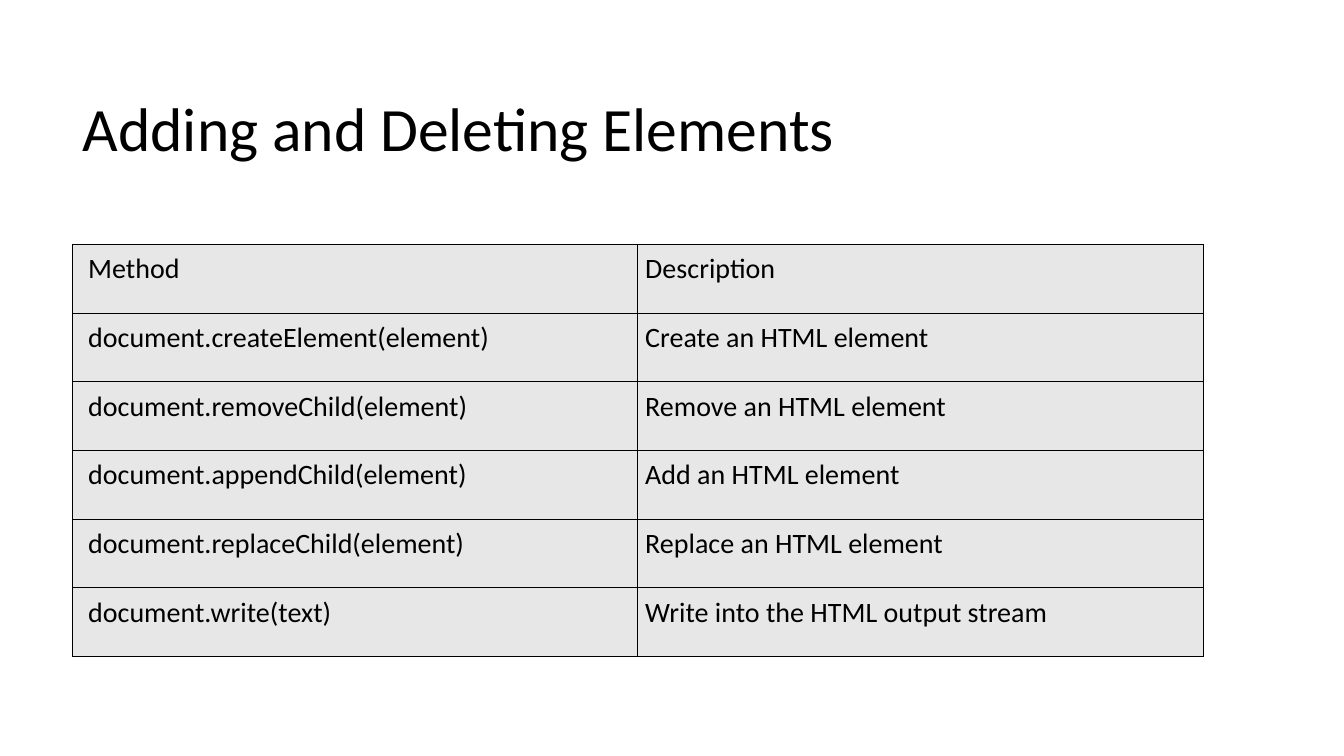
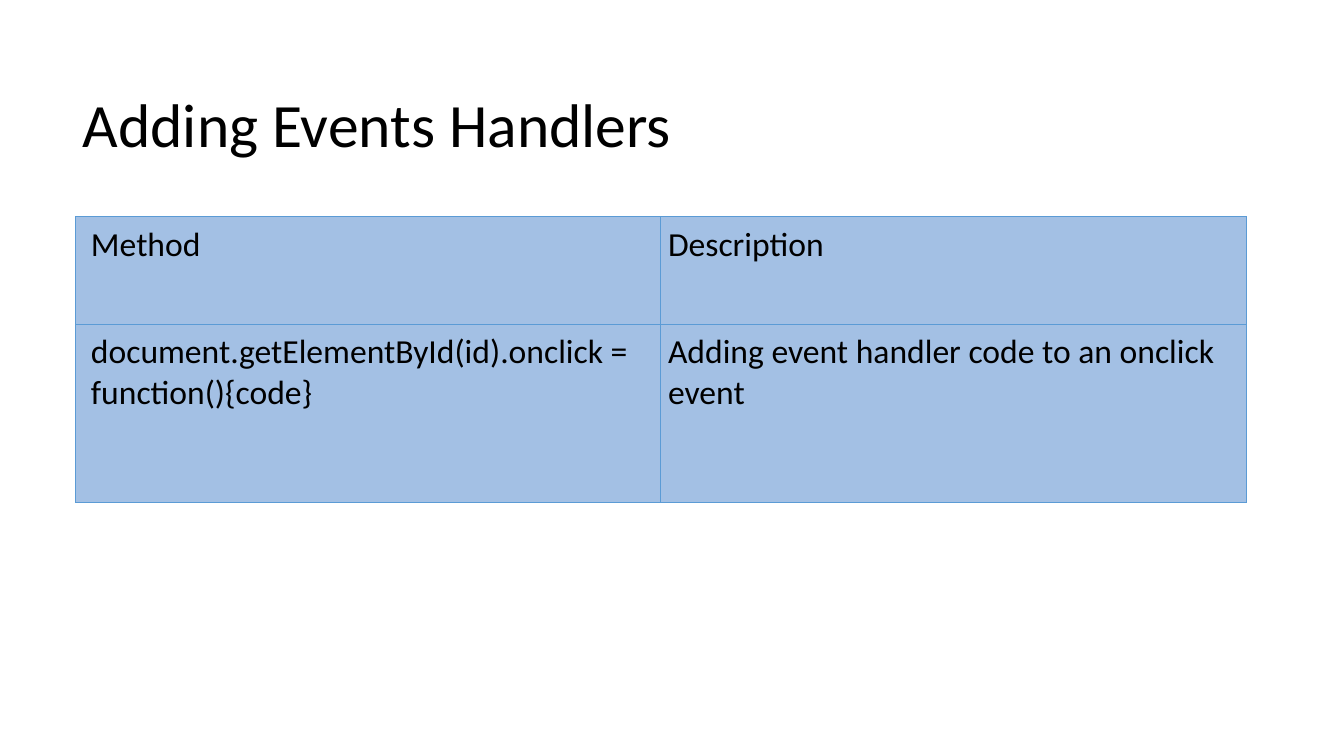
import pptx
import pptx.dml.color
import pptx.enum.text
import pptx.oxml
import pptx.oxml.ns
import pptx.util

Pt = pptx.util.Pt
FONT = "Calibri"
TEXT_COLOR = "000000"
TITLE_SIZE = 44
CELL_MARGINS = {"margin_top": 5.5, "margin_right": 5.5, "margin_bottom": 5.5}
COLUMN_LEFT_MARGINS = (11, 5.5)


def color(hex_string):
    return pptx.dml.color.RGBColor.from_string(hex_string)


def set_attributes(target, values):
    for name, value in values.items():
        setattr(target, name, value)


def write_text(paragraph, text, size):
    run = paragraph.add_run()
    run.text = text
    set_attributes(run.font, {"name": FONT, "size": Pt(size)})
    run.font.color.rgb = color(TEXT_COLOR)


def add_title(slide, box, text):
    shape = slide.shapes.add_textbox(*map(Pt, box))
    set_attributes(shape.text_frame, {
        "word_wrap": True,
        "vertical_anchor": pptx.enum.text.MSO_ANCHOR.MIDDLE,
    })
    paragraph = shape.text_frame.paragraphs[0]
    paragraph.line_spacing = 0.9
    write_text(paragraph, text, TITLE_SIZE)


def set_borders(cell, hex_string, width):
    properties = cell._tc.get_or_add_tcPr()
    # Border lines come before the fill in the cell properties
    for index, side in enumerate(("lnL", "lnR", "lnT", "lnB")):
        line = pptx.oxml.parse_xml(
            f'<a:{side} {pptx.oxml.ns.nsdecls("a")} w="{Pt(width)}">'
            f'<a:solidFill><a:srgbClr val="{hex_string}"/></a:solidFill></a:{side}>')
        properties.insert(index, line)


def add_table(slide, box, rows, first_column, row_heights, style):
    frame = slide.shapes.add_table(len(rows), len(rows[0]), *map(Pt, box))
    table = frame.table
    set_attributes(table, {"first_row": False, "horz_banding": False})
    for column, width in zip(table.columns, (first_column, box[2] - first_column)):
        column.width = Pt(width)
    for row_index, (row, height) in enumerate(zip(rows, row_heights)):
        table.rows[row_index].height = Pt(height)
        for column_index, text in enumerate(row):
            cell = table.cell(row_index, column_index)
            margins = {"margin_left": COLUMN_LEFT_MARGINS[column_index], **CELL_MARGINS}
            set_attributes(cell, {name: Pt(value) for name, value in margins.items()})
            cell.fill.solid()
            cell.fill.fore_color.rgb = color(style["fill"])
            set_borders(cell, style["border"], style["border_width"])
            write_text(cell.text_frame.paragraphs[0], text, style["size"])


def add_table_slide(presentation, title, title_top, **table):
    slide = presentation.slides.add_slide(presentation.slide_layouts[6])
    add_title(slide, (52, title_top, 672, 119), title)
    add_table(slide, **table)


presentation = pptx.Presentation()
set_attributes(presentation, {"slide_width": Pt(960), "slide_height": Pt(540)})
header = ("Method", "Description")

# Methods that change the document
element_rows = [
    header,
    ("document.createElement(element)", "Create an HTML element"),
    ("document.removeChild(element)", "Remove an HTML element"),
    ("document.appendChild(element)", "Add an HTML element"),
    ("document.replaceChild(element)", "Replace an HTML element"),
    ("document.write(text)", "Write into the HTML output stream"),
]
add_table_slide(
    presentation, "Adding and Deleting Elements", 34.5,
    box=(52, 174.7, 807.8, 294.3), rows=element_rows, first_column=403.4,
    row_heights=[294.3 / len(element_rows)] * len(element_rows),
    style={"fill": "E7E7E7", "border": "000000", "border_width": 1, "size": 20})

# Event handlers
add_table_slide(
    presentation, "Adding Events Handlers", 31.7,
    box=(54, 154.6, 836.6, 204.3),
    rows=[header, ("document.getElementById(id).onclick = function(){code}",
                   "Adding event handler code to an onclick event")],
    first_column=417.7, row_heights=(77, 127.3),
    style={"fill": "A3C0E4", "border": "5B9BD5", "border_width": 0.5, "size": 24})

presentation.save("out.pptx")
